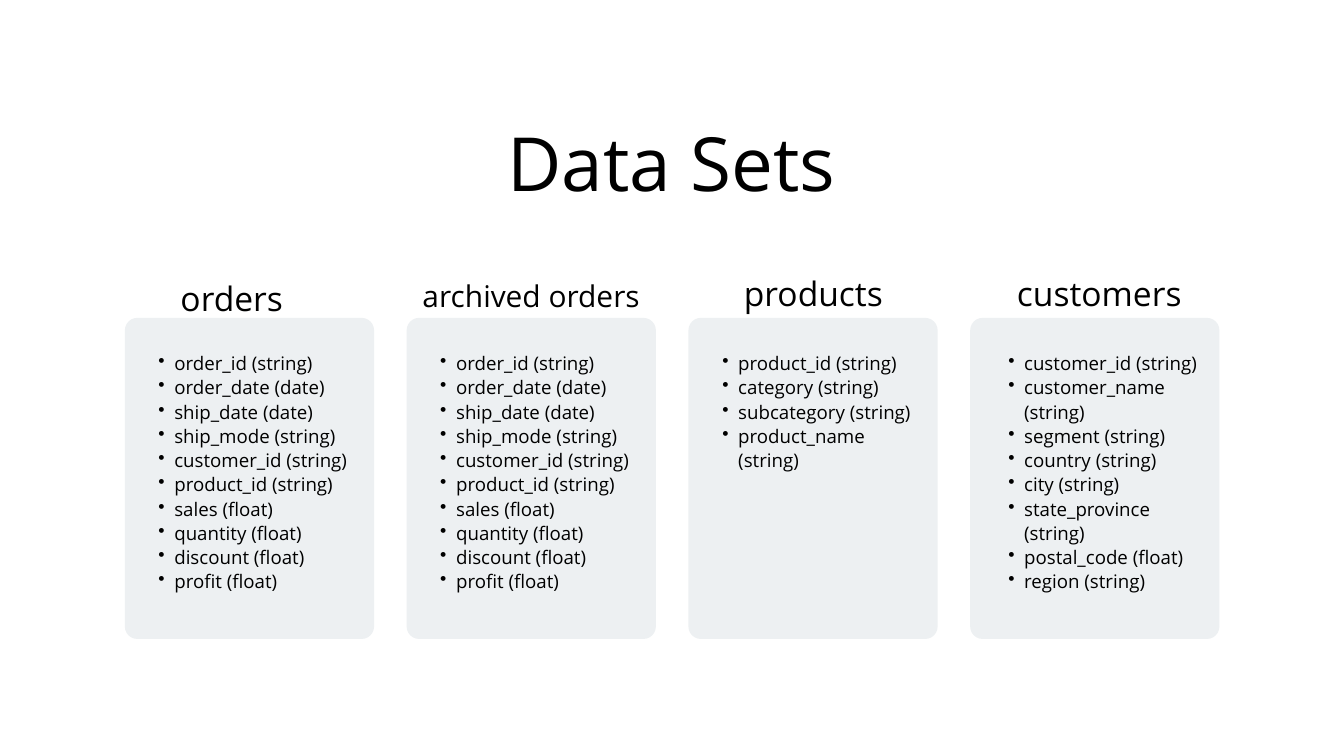
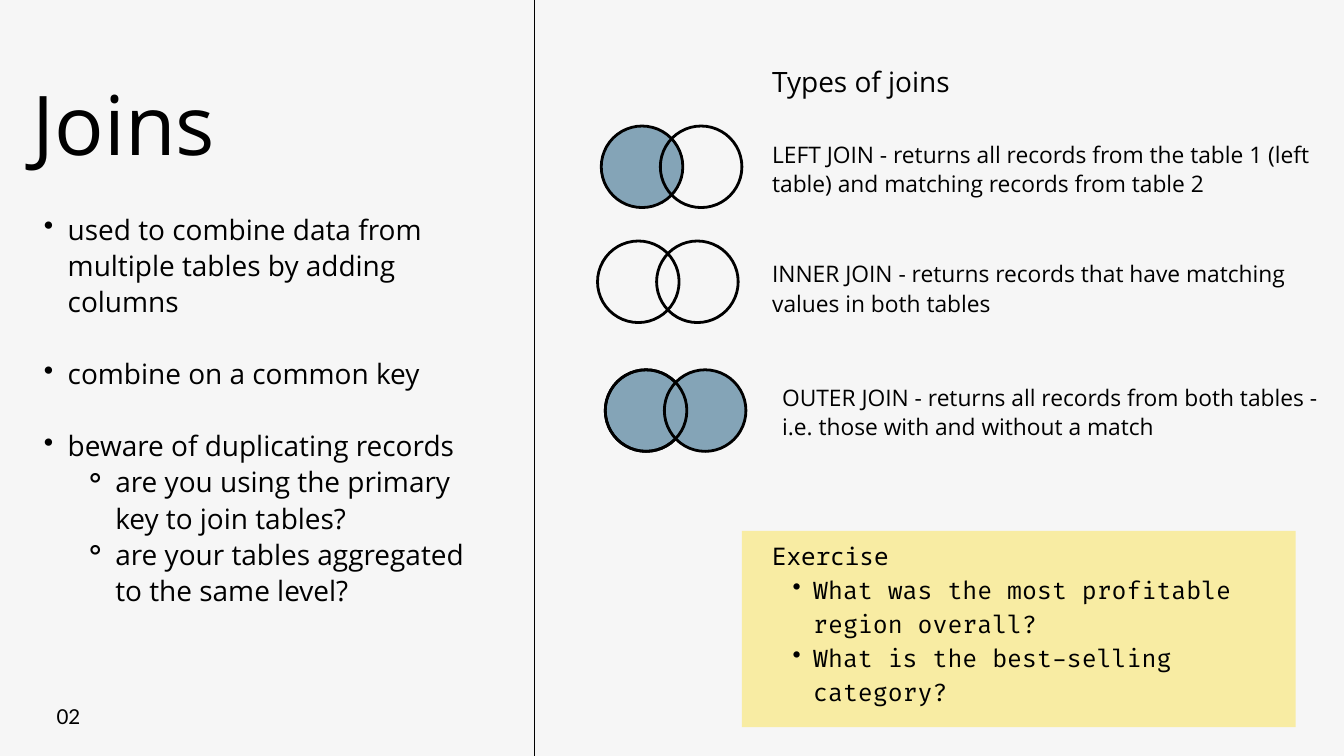
import pptx
import pptx.util
import pptx.dml.color
import pptx.enum.shapes
import pptx.enum.text
import pptx.oxml
import pptx.oxml.ns

Pt = pptx.util.Pt
SHAPE = pptx.enum.shapes.MSO_SHAPE
CENTER = pptx.enum.text.PP_ALIGN.CENTER
WIDTH, HEIGHT = 1440, 810

BLACK, WHITE, PAPER = "000000", "FFFFFF", "F6F6F6"
CARD, BLUE, YELLOW = "EDF0F2", "84A4B7", "F8ECA3"
FONT = "Open Sans"

# Bullet styles: character, level, left margin, hanging indent
FIELD = ("•", 1, 34, 17)
POINT = ("•", 1, 51, 25.5)
SUBPOINT = ("⚬", 2, 102, 34)
QUESTION = ("•", 1, 44, 22)

ORDER_FIELDS = [
    "order_id (string)", "order_date (date)", "ship_date (date)",
    "ship_mode (string)", "customer_id (string)", "product_id (string)",
    "sales (float)", "quantity (float)", "discount (float)", "profit (float)",
]
PRODUCT_FIELDS = [
    "product_id (string)", "category (string)", "subcategory (string)",
    "product_name (string)",
]
CUSTOMER_FIELDS = [
    "customer_id (string)", "customer_name (string)", "segment (string)",
    "country (string)", "city (string)", "state_province (string)",
    "postal_code (float)", "region (string)",
]
# Name, fields, heading box (offset from card, top, width, size), list offset
DATA_SETS = [
    ("orders", ORDER_FIELDS, (0, 294, 229, 36), 19),
    ("archived orders", ORDER_FIELDS, (5, 294, 257, 32), 19),
    ("products", PRODUCT_FIELDS, (19.4, 289, 229, 36), 19.4),
    ("customers", CUSTOMER_FIELDS, (23.8, 289, 229, 36), 23.8),
]
CARD_LEFT, CARD_TOP, CARD_W, CARD_H, CARD_PITCH = 133.8, 340.6, 267, 344, 301.9

# Text, bullet style, space before
JOIN_NOTES = [
    ("used to combine data from multiple tables by adding columns", POINT, 0),
    ("combine on a common key", POINT, 38.7),
    ("beware of duplicating records", POINT, 38.7),
    ("are you using the primary key to join tables?", SUBPOINT, 0),
    ("are your tables aggregated to the same level?", SUBPOINT, 0),
]
# Description and its box, then left and top of the circles and their fills
JOIN_TYPES = [
    ("LEFT JOIN - returns all records from the table 1 (left table) "
     "and matching records from table 2",
     (827.3, 148.3, 612.7, 61), (644.2, 135), (BLUE, None)),
    ("INNER JOIN - returns records that have matching values in both tables",
     (827.3, 276.5, 600.5, 60), (640.2, 258.2), (None, None)),
    ("OUTER JOIN - returns all records from both tables - "
     "i.e. those with and without a match",
     (838, 409, 590, 60), (648.5, 396.2), (BLUE, BLUE)),
]
CIRCLE, CIRCLE_STEP = 87.4, 63.3
EXERCISE = ["What was the most profitable region overall?",
            "What is the best-selling category?"]


def rgb(color):
    return pptx.dml.color.RGBColor.from_string(color)


def add_slide(prs, color):
    s = prs.slides.add_slide(prs.slide_layouts[6])
    s.background.fill.solid()
    s.background.fill.fore_color.rgb = rgb(color)
    return s


def add_shape(s, kind, box, fill=None, line=None):
    sp = s.shapes.add_shape(kind, *map(Pt, box))
    sp.shadow.inherit = False
    if fill:
        sp.fill.solid()
        sp.fill.fore_color.rgb = rgb(fill)
    else:
        sp.fill.background()
    if line:
        sp.line.color.rgb = rgb(line)
        sp.line.width = Pt(3)
    else:
        sp.line.fill.background()
    return sp


def set_bullet(p, bullet):
    char, level, margin, hang = bullet
    p.level = level
    pPr = p._p.get_or_add_pPr()
    pPr.set("marL", str(Pt(margin)))
    pPr.set("indent", str(-Pt(hang)))
    bu = pptx.oxml.parse_xml(
        f'<a:buChar {pptx.oxml.ns.nsdecls("a")} char="{char}"/>')
    pPr.append(bu)


def add_text(s, box, content, size, leading, font=FONT, align=None):
    """Add a text box; content is a string or (text, bullet, space before[, font]) rows."""
    tf = s.shapes.add_textbox(*map(Pt, box)).text_frame
    tf.word_wrap = True
    tf.margin_left = tf.margin_top = tf.margin_right = tf.margin_bottom = 0
    rows = [(content, None, 0)] if isinstance(content, str) else content
    for i, (text, bullet, before, *own_font) in enumerate(rows):
        p = tf.add_paragraph() if i else tf.paragraphs[0]
        p.line_spacing = Pt(leading)
        p.space_before = Pt(before)
        if align is not None:
            p.alignment = align
        if bullet:
            set_bullet(p, bullet)
        r = p.add_run()
        r.text = text
        r.font.size = Pt(size)
        r.font.name = own_font[0] if own_font else font
        r.font.color.rgb = rgb(BLACK)


def add_divider(s, x):
    line = s.shapes.add_connector(
        pptx.enum.shapes.MSO_CONNECTOR.STRAIGHT, Pt(x), Pt(HEIGHT), Pt(x), Pt(0))
    line.line.color.rgb = rgb(BLACK)
    line.line.width = Pt(0.75)
    line._element.spPr.append(
        pptx.oxml.parse_xml(f'<a:effectLst {pptx.oxml.ns.nsdecls("a")}/>'))


def build_data_sets(prs):
    s = add_slide(prs, WHITE)
    add_text(s, (165, 125.3, 1109, 96), "Data Sets", 80, 96, align=CENTER)
    for i, (name, fields, heading, list_offset) in enumerate(DATA_SETS):
        x = CARD_LEFT + i * CARD_PITCH
        card = add_shape(s, SHAPE.ROUNDED_RECTANGLE,
                         (x, CARD_TOP, CARD_W, CARD_H), CARD)
        card.adjustments[0] = 0.05
        offset, top, width, size = heading
        leading = size * 1.3
        add_text(s, (x + offset, top, width, leading), name, size, leading,
                 align=CENTER)
        add_text(s, (x + list_offset, 375.1, 229, 26 * len(fields)),
                 [(field, FIELD, 0) for field in fields], 20, 26)


def build_joins(prs):
    s = add_slide(prs, PAPER)
    add_divider(s, 572.4)
    add_text(s, (35.3, 85, 452, 101.5), "Joins", 88.3, 98.9)
    add_text(s, (21.6, 224.6, 507, 419), JOIN_NOTES, 30, 38.7)
    add_text(s, (55.4, 749.5, 36, 30), "02", 22, 30.8, font="Lato", align=CENTER)

    add_text(s, (827.3, 66.2, 612.7, 37), "Types of joins", 30, 38.7)
    for description, box, (x, y), fills in JOIN_TYPES:
        add_text(s, box, description, 24.4, 31.5)
        for i, fill in enumerate(fills):
            add_shape(s, SHAPE.OVAL, (x + i * CIRCLE_STEP, y, CIRCLE, CIRCLE),
                      fill, BLACK)
        if all(fills):  # the left outline stays visible across the overlap
            add_shape(s, SHAPE.OVAL, (x, y, CIRCLE, CIRCLE), line=BLACK)

    add_shape(s, SHAPE.RECTANGLE, (794.9, 568.8, 593.3, 210.2), YELLOW)
    questions = [(text, QUESTION, 0, "Fira Code") for text in EXERCISE]
    add_text(s, (827.3, 574.6, 521.3, 178.6), [("Exercise", None, 0)] + questions,
             26, 36.4, font="Noto Sans Mono")


def main():
    prs = pptx.Presentation()
    prs.slide_width, prs.slide_height = Pt(WIDTH), Pt(HEIGHT)
    build_data_sets(prs)
    build_joins(prs)
    prs.save("out.pptx")


if __name__ == "__main__":
    main()
